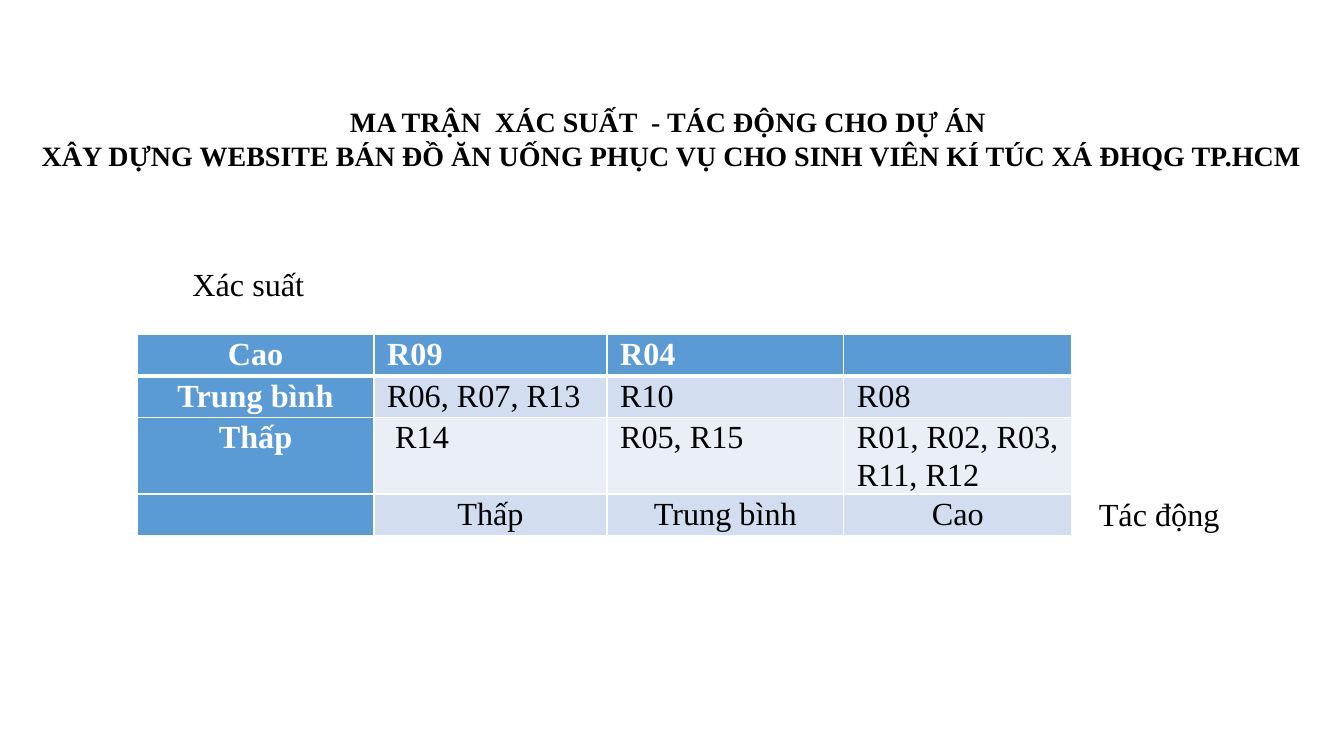
from dataclasses import dataclass

from lxml import etree
from pptx import Presentation
from pptx.dml.color import RGBColor
from pptx.enum.text import MSO_ANCHOR, MSO_AUTO_SIZE, PP_ALIGN
from pptx.oxml.ns import qn
from pptx.slide import Slide
from pptx.table import _Cell
from pptx.text.text import _Paragraph
from pptx.util import Emu, Pt

LEFT, CENTER = PP_ALIGN.LEFT, PP_ALIGN.CENTER
TOP, MIDDLE = MSO_ANCHOR.TOP, MSO_ANCHOR.MIDDLE
GROW = MSO_AUTO_SIZE.SHAPE_TO_FIT_TEXT
EMU_PER_PX = 9144


@dataclass(frozen=True)
class Theme:
    font: str = "Times New Roman"
    title_size: int = 20
    body_size: int = 23
    ink: str = "000000"
    white: str = "FFFFFF"
    header: str = "5B9BD5"
    odd_band: str = "D2DEEF"
    even_band: str = "EAEFF7"
    line_spacing: float = 1.07
    thin_rule: int = 1
    thick_rule: int = 3


@dataclass(frozen=True)
class Label:
    lines: tuple[str, ...]
    left: int
    top: int
    width: int
    height: int
    size: int
    bold: bool = False
    align: PP_ALIGN = LEFT
    anchor: MSO_ANCHOR = TOP
    wrap: bool = True


@dataclass(frozen=True)
class Level:
    entries: tuple[str, ...]
    height: int
    band: str
    align: PP_ALIGN = LEFT
    is_header: bool = False


THEME = Theme()
MATRIX_LEFT, MATRIX_TOP = 136, 332
COLUMN_WIDTHS = (235, 231, 235, 226)
CELL_INSET = 13

LABELS = (
    Label(
        (
            "MA TRẬN  XÁC SUẤT  - TÁC ĐỘNG CHO DỰ ÁN ",
            "XÂY DỰNG WEBSITE BÁN ĐỒ ĂN UỐNG PHỤC VỤ CHO SINH VIÊN KÍ TÚC XÁ ĐHQG TP.HCM",
        ),
        26, 99, 1280, 77, THEME.title_size, True, CENTER, MIDDLE, False,
    ),
    Label(("Xác suất",), 181, 257, 235, 49, THEME.body_size),
    Label(("Tác động",), 1080, 485, 235, 49, THEME.body_size),
)

LEVELS = (
    Level(("Cao", "R09", "R04", ""), 41, THEME.header, is_header=True),
    Level(("Trung bình", "R06, R07, R13", "R10", "R08"), 41, THEME.odd_band),
    Level(("Thấp", " R14", "R05, R15", "R01, R02, R03, R11, R12"), 76, THEME.even_band),
    Level(("", "Thấp", "Trung bình", "Cao"), 41, THEME.odd_band, CENTER),
)


def px(length: int) -> Emu:
    return Emu(length * EMU_PER_PX)


def write_run(paragraph: _Paragraph, text: str, size: int, color: str, bold: bool) -> None:
    run = paragraph.add_run()
    run.text = text
    run.font.name = THEME.font
    run.font.size = Pt(size)
    run.font.bold = bold
    run.font.color.rgb = RGBColor.from_string(color)


def draw_label(slide: Slide, label: Label) -> None:
    box = slide.shapes.add_textbox(
        px(label.left), px(label.top), px(label.width), px(label.height)
    )
    frame = box.text_frame
    frame.word_wrap = label.wrap
    frame.auto_size = GROW
    frame.vertical_anchor = label.anchor
    for index, line in enumerate(label.lines):
        paragraph = frame.add_paragraph() if index else frame.paragraphs[0]
        paragraph.alignment = label.align
        write_run(paragraph, line, label.size, THEME.ink, label.bold)


def draw_borders(cell: _Cell, top: int, bottom: int) -> None:
    properties = cell._tc.get_or_add_tcPr()
    widths = {
        "a:lnL": THEME.thin_rule,
        "a:lnR": THEME.thin_rule,
        "a:lnT": top,
        "a:lnB": bottom,
    }
    for position, (side, width) in enumerate(widths.items()):
        border = etree.Element(qn(side), w=str(Pt(width)))
        fill = etree.SubElement(border, qn("a:solidFill"))
        etree.SubElement(fill, qn("a:srgbClr"), val=THEME.white)
        properties.insert(position, border)


def draw_cell(cell: _Cell, text: str, level: Level, is_first: bool, below_header: bool) -> None:
    emphasised = is_first or level.is_header
    cell.margin_left = cell.margin_right = px(CELL_INSET)
    cell.margin_top = cell.margin_bottom = 0
    cell.fill.solid()
    cell.fill.fore_color.rgb = RGBColor.from_string(
        THEME.header if emphasised else level.band
    )
    draw_borders(
        cell,
        THEME.thick_rule if below_header else THEME.thin_rule,
        THEME.thick_rule if level.is_header else THEME.thin_rule,
    )
    if text:
        paragraph = cell.text_frame.paragraphs[0]
        paragraph.alignment = CENTER if is_first else level.align
        paragraph.line_spacing = THEME.line_spacing
        color = THEME.white if emphasised else THEME.ink
        write_run(paragraph, text, THEME.body_size, color, emphasised)


def draw_matrix(slide: Slide) -> None:
    matrix = slide.shapes.add_table(
        len(LEVELS), len(COLUMN_WIDTHS), px(MATRIX_LEFT), px(MATRIX_TOP),
        px(sum(COLUMN_WIDTHS)), px(sum(level.height for level in LEVELS)),
    ).table
    matrix.first_col = True
    for column, width in zip(matrix.columns, COLUMN_WIDTHS):
        column.width = px(width)
    for row_index, level in enumerate(LEVELS):
        matrix.rows[row_index].height = px(level.height)
        below_header = row_index > 0 and LEVELS[row_index - 1].is_header
        for column_index, entry in enumerate(level.entries):
            cell = matrix.cell(row_index, column_index)
            draw_cell(cell, entry, level, column_index == 0, below_header)


def main() -> None:
    presentation = Presentation()
    presentation.slide_width, presentation.slide_height = px(1333), px(750)
    slide = presentation.slides.add_slide(presentation.slide_layouts[6])
    draw_matrix(slide)
    for label in LABELS:
        draw_label(slide, label)
    presentation.save("out.pptx")


if __name__ == "__main__":
    main()
